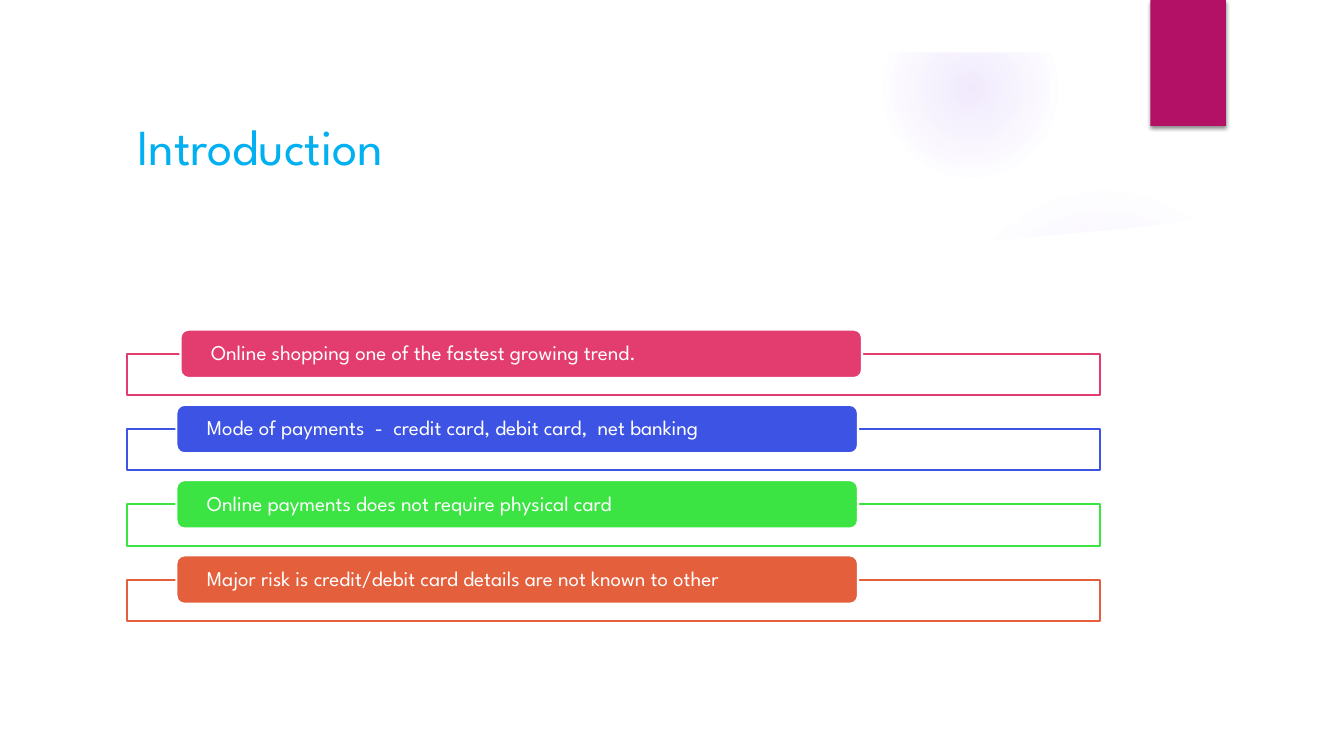
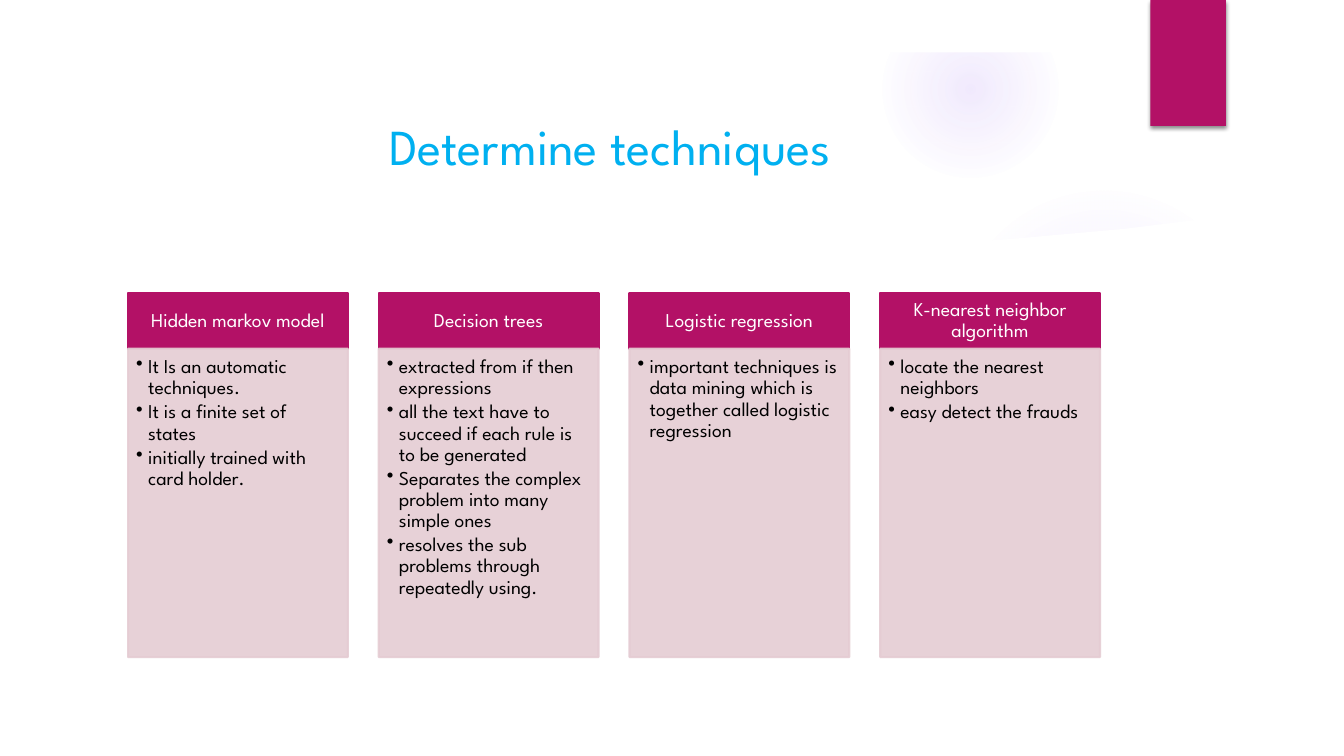
"""Build two slides on card fraud: an introduction and the techniques."""
from pptx import Presentation
from pptx.dml.color import RGBColor as Rgb
from pptx.enum.shapes import MSO_SHAPE as Kind
from pptx.enum.text import MSO_ANCHOR as Anchor, PP_ALIGN as Align
from pptx.oxml import parse_xml
from pptx.oxml.ns import qn
from pptx.util import Emu, Pt
from lxml.etree import SubElement as Sub

PX = 9144
FONT = "League Spartan"
NS = 'xmlns:a="http://schemas.openxmlformats.org/drawingml/2006/main"'
HUE = {
    "white": "FFFFFF", "black": "000000", "title": "00B0F0",
    "tab": "B31166", "glow": "9B6BF2", "body": "E5CCD3",
    "pink": "E33D6F", "blue": "3D53E3", "green": "3CE443", "coral": "E45F3C",
}

POINTS = [
    ("pink", 179, "Online shopping one of the fastest growing trend."),
    ("blue", 175, "Mode of payments  -  credit card, debit card,  net banking"),
    ("green", 175, "Online payments does not require physical card"),
    ("coral", 175, "Major risk is credit/debit card details are not known to other"),
]
TECHS = [
    ("Hidden markov model", [
        "It Is an automatic techniques.",
        "It is a finite set of states",
        "initially trained with card holder."]),
    ("Decision trees", [
        "extracted from if then expressions",
        "all the text have to succeed if each rule is to be generated",
        "Separates the complex problem into many simple ones",
        "resolves the sub problems through repeatedly using."]),
    ("Logistic regression", [
        "important techniques is data mining which is together called logistic regression"]),
    ("K-nearest neighbor algorithm", [
        "locate the nearest neighbors",
        "easy detect the frauds"]),
]

GLOWS = [
    ((941, 183, 308, 308), [(0, 7), (36, 6), (69, 0)]),
    ((875, 1, 175, 175), [(0, 14), (36, 7), (73, 0)]),
]
WAVE = [
    (50, 204), (50, 700), (1284, 700), (1284, 204), (1228, 213), (1172, 220),
    (1116, 227), (1060, 232), (1004, 237), (949, 241), (894, 244), (813, 246),
    (734, 248), (632, 247), (535, 245), (444, 241), (360, 236), (283, 230),
    (187, 221), (113, 212),
]
RIM = [(0, 0), (0, 750), (1333, 750), (1333, 0)]
HOLE = [(1281, 698), (52, 698), (52, 52), (1281, 52)]


def emu(*nums):
    return [Emu(round(n * PX)) for n in nums]


def rgb(name):
    return Rgb.from_string(HUE[name])


def paint(shape, fill, line=None, alpha=None):
    shape.shadow.inherit = False
    shape.fill.solid()
    shape.fill.fore_color.rgb = rgb(fill)
    if line:
        shape.line.color.rgb = rgb(line)
        shape.line.width = Pt(1.5)
    else:
        shape.line.fill.background()
    if alpha:
        for node in shape.element.spPr.iter(qn("a:solidFill")):
            if line == fill or node.getparent().tag != qn("a:ln"):
                Sub(node[0], qn("a:alpha"), val=str(alpha * 1000))
    return shape


def box(slide, kind, rect, fill, line=None, alpha=None):
    return paint(slide.shapes.add_shape(kind, *emu(*rect)), fill, line, alpha)


def free(slide, *loops):
    pen = slide.shapes.build_freeform(*loops[0][0], scale=PX)
    for i, loop in enumerate(loops):
        if i:
            pen.move_to(*loop[0])
        pen.add_line_segments(loop[1:], close=True)
    paint(pen.convert_to_shape(), "white")


def glow(slide, rect, stops):
    shape = box(slide, Kind.OVAL, rect, "glow")
    marks = "".join(
        f'<a:gs pos="{pos * 1000}"><a:srgbClr val="{HUE["glow"]}">'
        f'<a:alpha val="{alpha * 1000}"/></a:srgbClr></a:gs>' for pos, alpha in stops)
    grad = parse_xml(
        f'<a:gradFill {NS}><a:gsLst>{marks}</a:gsLst><a:path path="circle">'
        '<a:fillToRect l="50000" t="50000" r="50000" b="50000"/></a:path></a:gradFill>')
    props = shape.element.spPr
    props.replace(props.find(qn("a:solidFill")), grad)


def write(shape, lines, size, color, pad, align=Align.LEFT,
          anchor=Anchor.MIDDLE, space=0.9, dots=False):
    frame = shape.text_frame
    frame.word_wrap = True
    frame.vertical_anchor = anchor
    (frame.margin_left, frame.margin_top,
     frame.margin_right, frame.margin_bottom) = emu(*pad)
    for i, line in enumerate(lines):
        para = frame.add_paragraph() if i else frame.paragraphs[0]
        para.alignment = align
        para.line_spacing = space
        run = para.add_run()
        run.text = line
        run.font.name = FONT
        run.font.size = Pt(size)
        run.font.color.rgb = rgb(color)
        if dots:
            para.level = 1
            para.space_before, para.space_after = Pt(0), Pt(2)
            props = para._p.get_or_add_pPr()
            props.set("marL", str(12 * PX))
            props.set("indent", str(-12 * PX))
            Sub(props, qn("a:buChar"), char="•")


def start(deck, title, align):
    slide = deck.slides.add_slide(deck.slide_layouts[5])
    for rect, stops in GLOWS:
        glow(slide, rect, stops)
    free(slide, WAVE)
    free(slide, RIM, HOLE)
    tab = box(slide, Kind.RECTANGLE, (1141, 0, 75, 125), "tab")
    tab.element.spPr.find(qn("a:effectLst")).append(parse_xml(
        f'<a:outerShdw {NS} blurRad="{Pt(3)}" dist="{Pt(2)}" dir="5400000" rotWithShape="0">'
        f'<a:srgbClr val="{HUE["black"]}"><a:alpha val="45000"/></a:srgbClr></a:outerShdw>'))
    head = slide.shapes.title
    head.left, head.top, head.width, head.height = emu(126, 106, 958, 77)
    write(head, [title], 36, "title", (10, 5, 10, 5), align, space=1.0)
    head.element.getparent().append(head.element)
    return slide


def intro(deck):
    slide = start(deck, "Introduction", Align.LEFT)
    step = 224 / 3
    for i, (hue, left, text) in enumerate(POINTS):
        top = 327 + i * step
        box(slide, Kind.RECTANGLE, (126, top + 24, 965, 41), "white", hue, 90)
        bar = box(slide, Kind.ROUNDED_RECTANGLE, (left, top, 676, 48), hue, "white")
        write(bar, [text], 15, "white", (28, 0, 28, 0))


def methods(deck):
    slide = start(deck, "Determine techniques", Align.CENTER)
    step = 746 / 3
    for i, (name, facts) in enumerate(TECHS):
        left = 127 + i * step
        head = box(slide, Kind.RECTANGLE, (left, 291, 218, 55), "tab", "tab")
        write(head, [name], 14, "white", (11, 6, 11, 6), Align.CENTER)
        body = box(slide, Kind.RECTANGLE, (left, 346, 218, 306), "body", "body", 90)
        write(body, facts, 14, "black", (8, 8, 11, 12), anchor=Anchor.TOP, dots=True)


def main():
    deck = Presentation()
    deck.slide_width, deck.slide_height = emu(1333, 750)
    intro(deck)
    methods(deck)
    deck.save("out.pptx")


if __name__ == "__main__":
    main()
